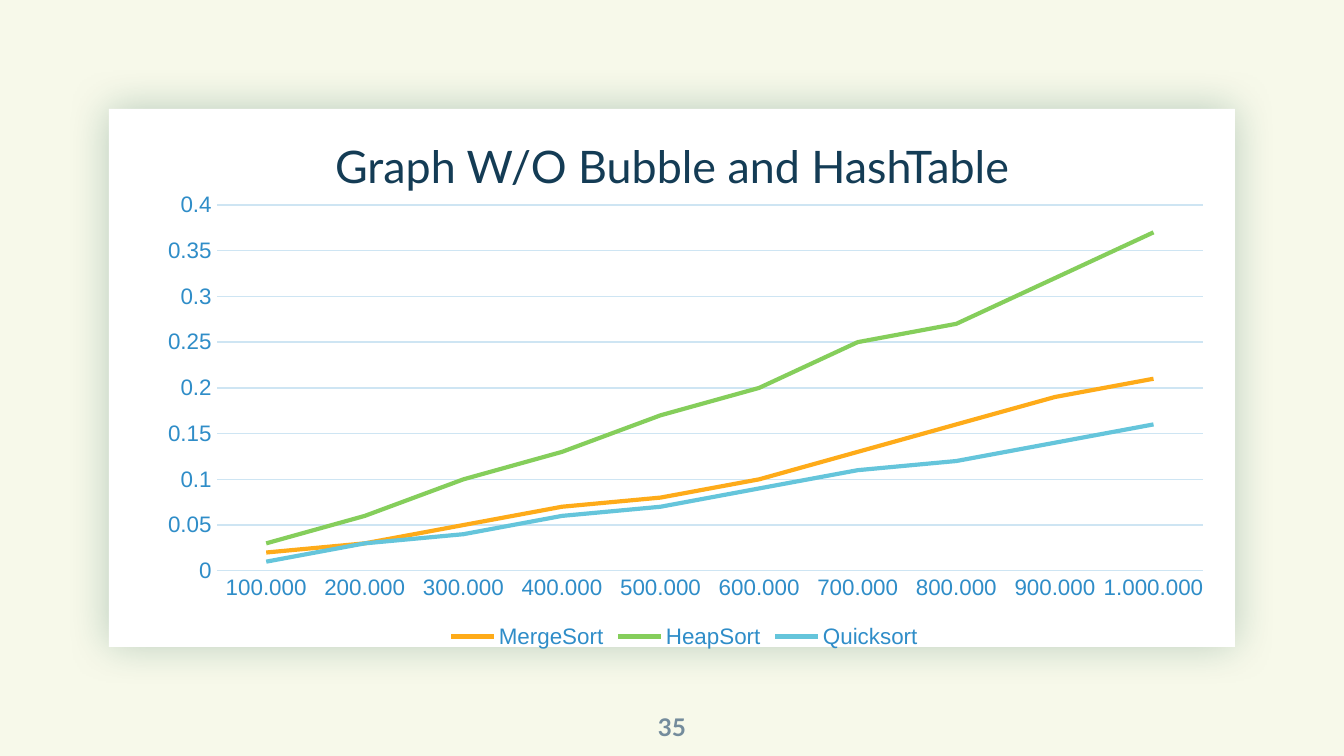
from lxml.etree import SubElement
from pptx import Presentation
from pptx.chart.data import CategoryChartData
from pptx.dml.color import RGBColor
from pptx.enum.chart import XL_CHART_TYPE, XL_LEGEND_POSITION, XL_TICK_MARK
from pptx.enum.shapes import MSO_SHAPE
from pptx.enum.text import MSO_ANCHOR, PP_ALIGN
from pptx.oxml import parse_xml
from pptx.oxml.ns import nsdecls, qn
from pptx.util import Pt

CREAM = RGBColor(0xF7, 0xF9, 0xEA)
WHITE = RGBColor(0xFF, 0xFF, 0xFF)
NAVY = RGBColor(0x14, 0x3C, 0x55)
SLATE = RGBColor(0x74, 0x8C, 0x9C)
BLUE = RGBColor(0x2F, 0x8D, 0xC8)
PALE = RGBColor(0xCE, 0xE5, 0xF3)
ORANGE = RGBColor(0xFE, 0xAB, 0x19)
GREEN = RGBColor(0x85, 0xCE, 0x5B)
CYAN = RGBColor(0x65, 0xC5, 0xDB)

TITLE = "Graph W/O Bubble and HashTable"
PAGE = "35"
CATEGORIES = [f"{n}00.000" for n in range(1, 10)] + ["1.000.000"]
SERIES = [
    ("MergeSort", ORANGE, (0.02, 0.03, 0.05, 0.07, 0.08, 0.1, 0.13, 0.16, 0.19, 0.21)),
    ("HeapSort", GREEN, (0.03, 0.06, 0.1, 0.13, 0.17, 0.2, 0.25, 0.27, 0.32, 0.37)),
    ("Quicksort", CYAN, (0.01, 0.03, 0.04, 0.06, 0.07, 0.09, 0.11, 0.12, 0.14, 0.16)),
]
SLIDE = (1344, 756)
CARD = (109, 109, 1126, 538)
TITLE_BOX = (159, 144, 1026, 49)
PAGE_BOX = (632, 698, 80, 58)
CHART = (145, 184, 1079, 470)
PLOT = (217, 205, 986, 366)
EMU_PER_PX = 914400 / 134.4


def px(*lengths):
    return [round(n * EMU_PER_PX) for n in lengths]


def set_font(font, size, color, name="Arial", bold=False):
    font.size, font.name, font.bold = Pt(size), name, bold
    font.color.rgb = color


def add_card(s):
    sp = s.shapes.add_shape(MSO_SHAPE.RECTANGLE, *px(*CARD))
    sp.fill.solid()
    sp.fill.fore_color.rgb = WHITE
    sp.line.fill.background()
    sp._element.spPr.append(parse_xml(
        f'<a:effectLst {nsdecls("a")}><a:outerShdw blurRad="{Pt(22.5)}" dist="0" '
        'algn="ctr" rotWithShape="0"><a:srgbClr val="054C3A"><a:alpha val="25000"/>'
        '</a:srgbClr></a:outerShdw></a:effectLst>'))


def add_text(s, box, text, anchor, size, color, bold=False, spacing=1.0):
    tf = s.shapes.add_textbox(*px(*box)).text_frame
    tf.word_wrap = True
    tf.vertical_anchor = anchor
    tf.margin_left = tf.margin_right = tf.margin_top = tf.margin_bottom = 0
    p = tf.paragraphs[0]
    p.text = text
    p.alignment = PP_ALIGN.CENTER
    p.line_spacing = spacing
    set_font(p.font, size, color, "Lato", bold)


def place_plot(chart):
    area = chart._chartSpace.chart.plotArea
    for old in area.findall(qn("c:layout")):
        area.remove(old)
    left, top, width, height = CHART
    x, y, w, h = PLOT
    values = dict(layoutTarget="inner", xMode="edge", yMode="edge",
                  x=round((x - left) / width, 4), y=round((y - top) / height, 4),
                  w=round(w / width, 4), h=round(h / height, 4))
    layout = parse_xml(f'<c:layout {nsdecls("c")}><c:manualLayout/></c:layout>')
    for key, value in values.items():
        SubElement(layout[0], qn(f"c:{key}")).set("val", str(value))
    area.insert(0, layout)


def add_line_chart(s):
    data = CategoryChartData(number_format="General")
    data.categories = CATEGORIES
    for name, _, values in SERIES:
        data.add_series(name, values)
    chart = s.shapes.add_chart(XL_CHART_TYPE.LINE, *px(*CHART), data).chart
    chart.has_title = False
    set_font(chart.font, 10, NAVY)
    chart.has_legend = True
    chart.legend.position = XL_LEGEND_POSITION.BOTTOM
    chart.legend.include_in_layout = False
    set_font(chart.legend.font, 12, BLUE)
    cat, val = chart.category_axis, chart.value_axis
    for axis in (cat, val):
        axis.major_tick_mark = axis.minor_tick_mark = XL_TICK_MARK.NONE
        set_font(axis.tick_labels.font, 12, BLUE)
    val.minimum_scale, val.maximum_scale, val.major_unit = 0, 0.4, 0.05
    val.has_major_gridlines = True
    val.format.line.fill.background()
    for line in (cat.format.line, val.major_gridlines.format.line):
        line.color.rgb = PALE
        line.width = Pt(0.75)
    chart.plots[0].vary_by_categories = False
    for ser, (_, color, _) in zip(chart.plots[0].series, SERIES):
        ser.smooth = False
        ser.format.line.color.rgb = color
        ser.format.line.width = Pt(2.25)
    place_plot(chart)


def main():
    """Build the sorting-time line chart slide."""
    prs = Presentation()
    prs.slide_width, prs.slide_height = px(*SLIDE)
    s = prs.slides.add_slide(prs.slide_layouts[6])
    s.background.fill.solid()
    s.background.fill.fore_color.rgb = CREAM
    add_card(s)
    add_text(s, TITLE_BOX, TITLE, MSO_ANCHOR.BOTTOM, 24, NAVY, spacing=0.9)
    add_text(s, PAGE_BOX, PAGE, MSO_ANCHOR.MIDDLE, 13, SLATE, bold=True)
    add_line_chart(s)
    prs.save("out.pptx")


if __name__ == "__main__":
    main()
